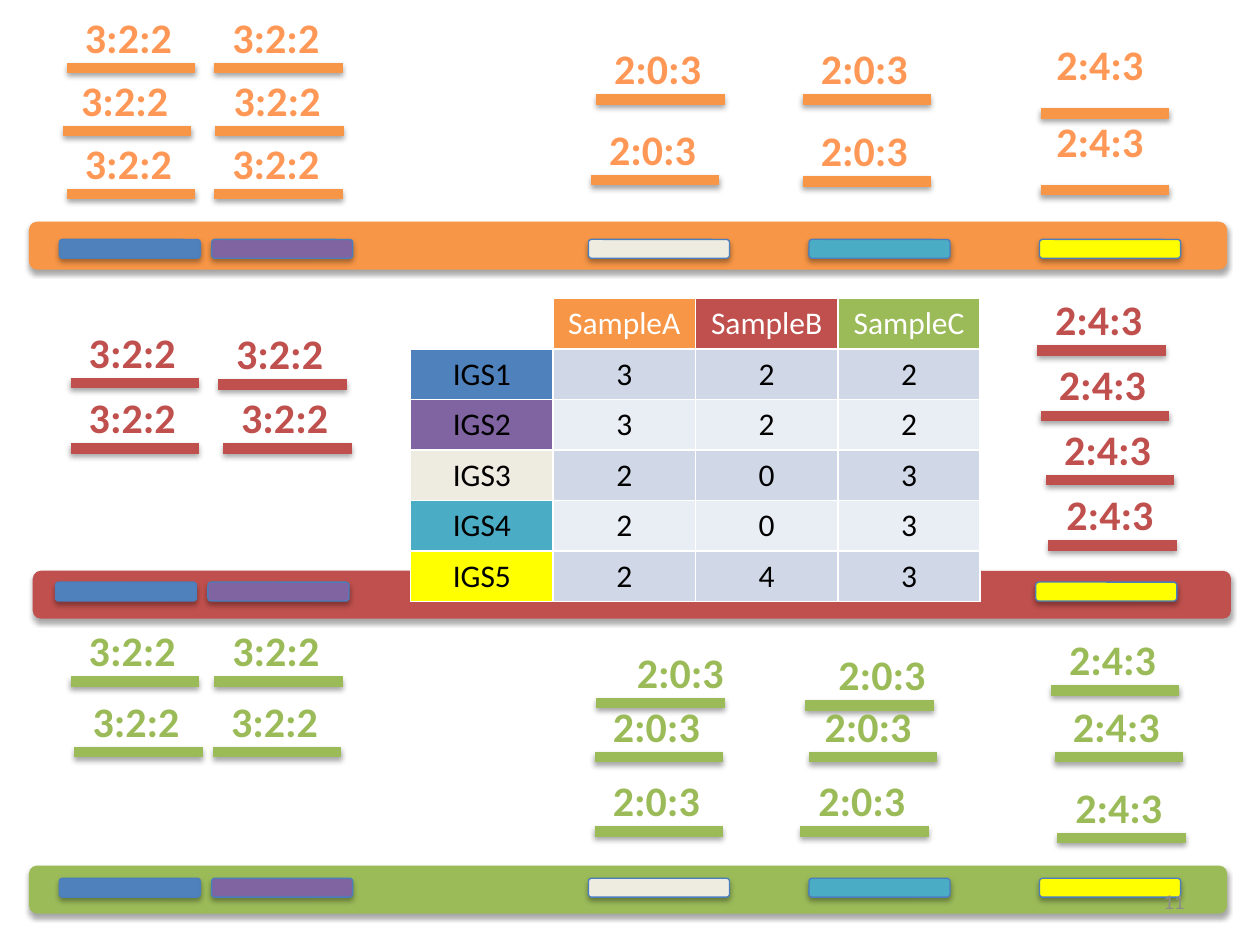
from typing import NamedTuple

from lxml import etree
from pptx import Presentation
from pptx.dml.color import RGBColor
from pptx.enum.shapes import MSO_CONNECTOR, MSO_SHAPE
from pptx.enum.text import MSO_ANCHOR, PP_ALIGN
from pptx.oxml.ns import qn
from pptx.util import Inches, Pt

STRAIGHT = MSO_CONNECTOR.STRAIGHT
ROUNDED = MSO_SHAPE.ROUNDED_RECTANGLE
CENTER, RIGHT = PP_ALIGN.CENTER, PP_ALIGN.RIGHT
MIDDLE = MSO_ANCHOR.MIDDLE
FONT = "Calibri"
WHITE, BLACK = "FFFFFF", "000000"
BANDS = ("D0D8E8", "E9EDF4")
READ_LENGTH = 1.02


class Gene(NamedTuple):
    name: str
    color: str
    left: float
    counts: tuple[int, int, int]  # reads in samples A, B and C


class Read(NamedTuple):
    left: float
    top: float
    label_shift: float = 0.04
    label_rise: float = 0.5


class Sample(NamedTuple):
    name: str
    color: str
    label_color: str
    left: float
    top: float
    gene_shift: float
    gene_top: float
    reads: tuple[list[Read], ...]  # one list per gene


GENES = [
    Gene("IGS1", "4F81BD", 0.47, (3, 2, 2)),
    Gene("IGS2", "8064A2", 1.68, (3, 2, 2)),
    Gene("IGS3", "EEECE1", 4.67, (2, 0, 3)),
    Gene("IGS4", "4BACC6", 6.42, (2, 0, 3)),
    Gene("IGS5", "FFFF00", 8.25, (2, 4, 3)),
]

SAMPLES = [
    Sample("SampleA", "F79646", "FF9856", 0.23, 1.76, 0, 1.9, (
        [Read(0.53, 0.54), Read(0.5, 1.04), Read(0.53, 1.54)],
        [Read(1.7, 0.54), Read(1.71, 1.04), Read(1.7, 1.54)],
        [Read(4.73, 0.79), Read(4.69, 1.43)],
        [Read(6.37, 0.79), Read(6.37, 1.44)],
        [Read(8.26, 0.9, 0.02, 0.64), Read(8.26, 1.51, 0.02, 0.64)],
    )),
    Sample("SampleB", "C0504D", "C0504D", 0.26, 4.53, -0.03, 4.62, (
        [Read(0.56, 3.04), Read(0.56, 3.56)],
        [Read(1.73, 3.05), Read(1.77, 3.56)],
        [],
        [],
        [Read(8.23, 2.78), Read(8.26, 3.3), Read(8.3, 3.81), Read(8.32, 4.33)],
    )),
    Sample("SampleC", "9BBB59", "9BBB59", 0.23, 6.87, 0, 6.97, (
        [Read(0.56, 5.41), Read(0.59, 5.97)],
        [Read(1.7, 5.41), Read(1.69, 5.97)],
        [Read(4.73, 5.58, 0.22), Read(4.72, 6.01), Read(4.72, 6.6)],
        [Read(6.39, 5.6, 0.16), Read(6.42, 6.01, 0.02), Read(6.35, 6.6)],
        [Read(8.34, 5.48), Read(8.37, 6.01), Read(8.39, 6.65)],
    )),
]


def rgb(color: str) -> RGBColor:
    return RGBColor.from_string(color)


def add_shadow(shape) -> None:
    """Append a soft shadow below; call once fill and line are set."""
    effects = etree.SubElement(shape._element.spPr, qn("a:effectLst"))
    shadow = etree.SubElement(effects, qn("a:outerShdw"), blurRad="40000",
                              dist="23000", dir="5400000", rotWithShape="0")
    tone = etree.SubElement(shadow, qn("a:srgbClr"), val=BLACK)
    etree.SubElement(tone, qn("a:alpha"), val="35000")


def write(frame, text: str, size: int, color: str, align=CENTER, bold=False) -> None:
    paragraph = frame.paragraphs[0]
    paragraph.alignment = align
    run = paragraph.add_run()
    run.text = text
    run.font.name, run.font.size, run.font.bold = FONT, Pt(size), bold
    run.font.color.rgb = rgb(color)


def add_read(slide, read: Read, ratio: str, sample: Sample) -> None:
    y = Inches(read.top)
    strand = slide.shapes.add_connector(
        STRAIGHT, Inches(read.left), y, Inches(read.left + READ_LENGTH), y)
    strand.line.color.rgb = rgb(sample.color)
    strand.line.width = Pt(6)
    add_shadow(strand)
    label = slide.shapes.add_textbox(
        Inches(read.left + read.label_shift), Inches(read.top - read.label_rise),
        Inches(0.9), Inches(0.5))
    label.text_frame.word_wrap = False
    write(label.text_frame, ratio, 24, sample.label_color, bold=True)


def add_bar(slide, left: float, top: float, width: float, height: float,
            color: str, outline: str | None = None) -> None:
    bar = slide.shapes.add_shape(
        ROUNDED, Inches(left), Inches(top), Inches(width), Inches(height))
    bar.fill.solid()
    bar.fill.fore_color.rgb = rgb(color)
    if outline:
        bar.line.color.rgb = rgb(outline)
        bar.line.width = Pt(0.75)
    else:
        bar.line.fill.background()
    add_shadow(bar)


def fill_cell(cell, text: str, text_color: str, color: str) -> None:
    cell.fill.solid()
    cell.fill.fore_color.rgb = rgb(color)
    write(cell.text_frame, text, 18, text_color)


def add_count_table(slide) -> None:
    rows, columns = len(GENES) + 1, len(SAMPLES) + 1
    counts = slide.shapes.add_table(
        rows, columns, Inches(3.26), Inches(2.37),
        Inches(1.13 * columns), Inches(0.4 * rows)).table
    counts.cell(0, 0).fill.background()
    for column, sample in enumerate(SAMPLES, 1):
        fill_cell(counts.cell(0, column), sample.name, WHITE, sample.color)
    for row, gene in enumerate(GENES, 1):
        fill_cell(counts.cell(row, 0), gene.name, BLACK, gene.color)
        for column, count in enumerate(gene.counts, 1):
            fill_cell(counts.cell(row, column), str(count), BLACK, BANDS[(row - 1) % 2])


def main() -> None:
    prs = Presentation()
    prs.slide_width, prs.slide_height = Inches(10), Inches(7.5)
    slide = prs.slides.add_slide(prs.slide_layouts[6])

    for sample in SAMPLES:
        for gene, reads in zip(GENES, sample.reads):
            ratio = ":".join(map(str, gene.counts))
            for read in reads:
                add_read(slide, read, ratio, sample)
    for sample in SAMPLES:
        add_bar(slide, sample.left, sample.top, 9.51, 0.38, sample.color)
        for gene, reads in zip(GENES, sample.reads):
            if reads:
                add_bar(slide, gene.left + sample.gene_shift, sample.gene_top,
                        1.12, 0.15, gene.color, "4B7EBC")
    add_count_table(slide)

    page_number = slide.shapes.add_textbox(
        Inches(7.17), Inches(6.95), Inches(2.33), Inches(0.4)).text_frame
    page_number.word_wrap = True
    page_number.vertical_anchor = MIDDLE
    write(page_number, "11", 12, "8C8C8C", RIGHT)

    prs.save("out.pptx")


if __name__ == "__main__":
    main()
